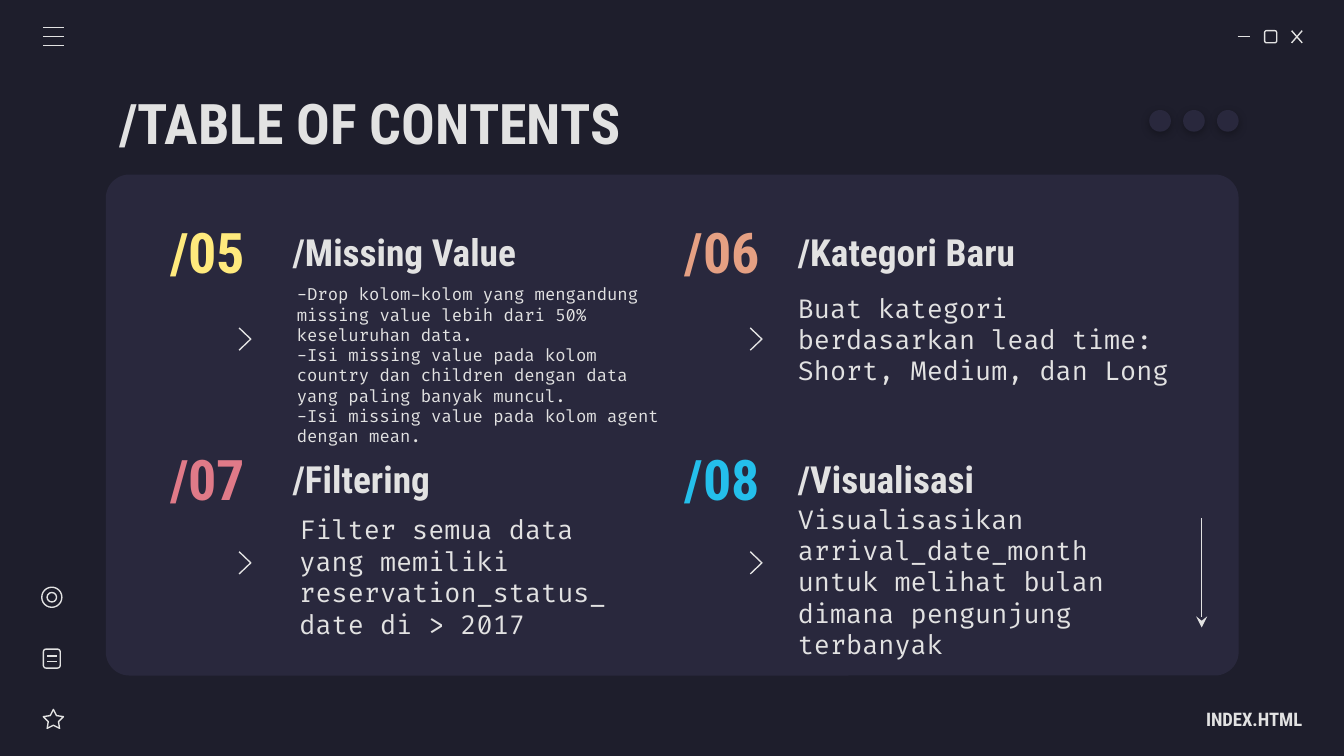
import pptx
import pptx.util
import pptx.dml.color
import pptx.enum.shapes
import pptx.enum.text
import pptx.oxml
import pptx.oxml.ns
import lxml.etree

Cm = pptx.util.Cm
Pt = pptx.util.Pt
RGBColor = pptx.dml.color.RGBColor
Shape = pptx.enum.shapes.MSO_SHAPE
Align = pptx.enum.text.PP_ALIGN
qn = pptx.oxml.ns.qn

NIGHT = RGBColor(0x1E, 0x1E, 0x2C)
PANEL = RGBColor(0x29, 0x28, 0x3D)
LIGHT = RGBColor(0xE2, 0xE2, 0xE2)
YELLOW = RGBColor(0xFF, 0xEA, 0x7D)
ORANGE = RGBColor(0xE5, 0xA0, 0x83)
PINK = RGBColor(0xE0, 0x7A, 0x88)
BLUE = RGBColor(0x24, 0xBF, 0xEB)
HEAD = "Roboto Condensed"
CODE = "Fira Code"
THIN = Pt(0.75)

deck = pptx.Presentation()
deck.slide_width, deck.slide_height = Cm(25.4), Cm(14.29)
slide = deck.slides.add_slide(deck.slide_layouts[6])
slide.background.fill.solid()
slide.background.fill.fore_color.rgb = NIGHT
shapes = slide.shapes


def label(box, text, size, color=LIGHT, font=HEAD, align=Align.LEFT):
    """Add a vertically centred text box; headline type is bold."""
    frame = shapes.add_textbox(*map(Cm, box)).text_frame
    frame.word_wrap = True
    frame.vertical_anchor = pptx.enum.text.MSO_ANCHOR.MIDDLE
    frame.margin_left = frame.margin_right = Cm(0.25)
    frame.margin_top = frame.margin_bottom = Cm(0.25)
    frame.text = text
    for para in frame.paragraphs:
        para.alignment = align
        for run in para.runs:
            run.font.name = font
            run.font.size = Pt(size)
            run.font.bold = font == HEAD
            run.font.color.rgb = color
    return frame


def stroke(*ends):
    """Add a thin straight line from x1, y1 to x2, y2."""
    line = shapes.add_connector(pptx.enum.shapes.MSO_CONNECTOR.STRAIGHT, *map(Cm, ends))
    line.line.color.rgb = LIGHT
    line.line.width = THIN
    lxml.etree.SubElement(line._element.spPr, qn("a:effectLst"))
    return line


# Main panel
panel = shapes.add_shape(Shape.ROUNDED_RECTANGLE, Cm(2), Cm(3.3), Cm(21.41), Cm(9.47))
panel.adjustments[0] = 0.047
panel.fill.solid()
panel.fill.fore_color.rgb = PANEL
panel.line.fill.background()
panel.shadow.inherit = False

# Window buttons, menu and side icons
stroke(23.39, 0.69, 23.62, 0.69)
stroke(24.41, 0.58, 24.61, 0.81)
stroke(24.61, 0.58, 24.41, 0.81)
for y in (0.52, 0.69, 0.86):
    stroke(0.82, y, 1.21, y)
for y in (12.4, 12.5):
    stroke(0.89, y, 1.07, y)

icons = [
    (Shape.ROUNDED_RECTANGLE, (23.9, 0.58, 0.23, 0.23)),
    (Shape.STAR_5_POINT, (0.82, 13.41, 0.38, 0.36)),
    (Shape.ROUNDED_RECTANGLE, (0.82, 12.27, 0.32, 0.36)),
    (Shape.OVAL, (0.79, 11.1, 0.38, 0.38)),
    (Shape.OVAL, (0.89, 11.2, 0.18, 0.18)),
]
for kind, box in icons:
    icon = shapes.add_shape(kind, *map(Cm, box))
    if kind == Shape.STAR_5_POINT:
        icon.adjustments[0] = 0.254
    icon.fill.background()
    icon.line.color.rgb = LIGHT
    icon.line.width = THIN
    icon.shadow.inherit = False

# Contents: two columns by two rows
label((2, 1.5, 21.41, 1.6), "/TABLE OF CONTENTS", 30)

cols = [(2.77, 4.52, 5.28), (12.5, 14.18, 14.83)]  # number, chevron, title
rows = [(4.04, 6.2), (8.33, 10.43)]  # heading, chevron
items = [
    ("/05", YELLOW, "/Missing Value", 9, (5.36, 5.31, 7.59, 3.18),
     "-Drop kolom-kolom yang mengandung missing value lebih dari 50% keseluruhan data.\n"
     "-Isi missing value pada kolom country dan children dengan data yang paling banyak muncul.\n"
     "-Isi missing value pada kolom agent dengan mean."),
    ("/06", ORANGE, "/Kategori Baru", 14, (14.83, 5.46, 7.92, 1.9),
     "Buat kategori berdasarkan lead time: Short, Medium, dan Long"),
    ("/07", PINK, "/Filtering", 14, (5.41, 9.78, 6.5, 2.24),
     "Filter semua data yang memiliki reservation_status_date di > 2017"),
    ("/08", BLUE, "/Visualisasi", 14, (14.83, 9.63, 7.29, 2.72),
     "Visualisasikan arrival_date_month untuk melihat bulan dimana pengunjung terbanyak"),
]
for i, (num, color, title, size, box, text) in enumerate(items):
    left, mark, right = cols[i % 2]
    top, mid = rows[i // 2]
    label((right, top, 6.5, 1.42), title, 20)
    label((left, top, 2.31, 1.42), num, 30, color, align=Align.CENTER)
    label(box, text, size, font=CODE)

    pen = shapes.build_freeform(Cm(mark), Cm(mid))
    pen.add_line_segments(
        [(Cm(mark + 0.22), Cm(mid + 0.21)), (Cm(mark), Cm(mid + 0.42))], close=False)
    chevron = pen.convert_to_shape()
    chevron.fill.background()
    chevron.line.color.rgb = LIGHT
    chevron.line.width = THIN
    chevron.shadow.inherit = False

# Footer and scroll arrow
footer = label((21.64, 13.21, 2.97, 0.76), "INDEX.HTML", 10, align=Align.RIGHT)
footer.margin_right = 0
arrow = stroke(22.71, 9.8, 22.71, 11.86)
lxml.etree.SubElement(arrow.line._get_or_add_ln(), qn("a:tailEnd"), type="stealth")

# Dots with a soft shadow
for i in range(3):
    dot = shapes.add_shape(Shape.OVAL, Cm(21.72 + 0.64 * i), Cm(2.08), Cm(0.41), Cm(0.41))
    dot.fill.solid()
    dot.fill.fore_color.rgb = PANEL
    dot.line.fill.background()
    dot.shadow.inherit = False
    glow = lxml.etree.SubElement(
        dot._element.spPr.find(qn("a:effectLst")), qn("a:outerShdw"),
        blurRad=str(Pt(4.5)), dist=str(Pt(1.5)), dir="5400000",
        algn="bl", rotWithShape="0")
    black = lxml.etree.SubElement(glow, qn("a:srgbClr"), val="000000")
    lxml.etree.SubElement(black, qn("a:alpha"), val="30000")

deck.save("out.pptx")
